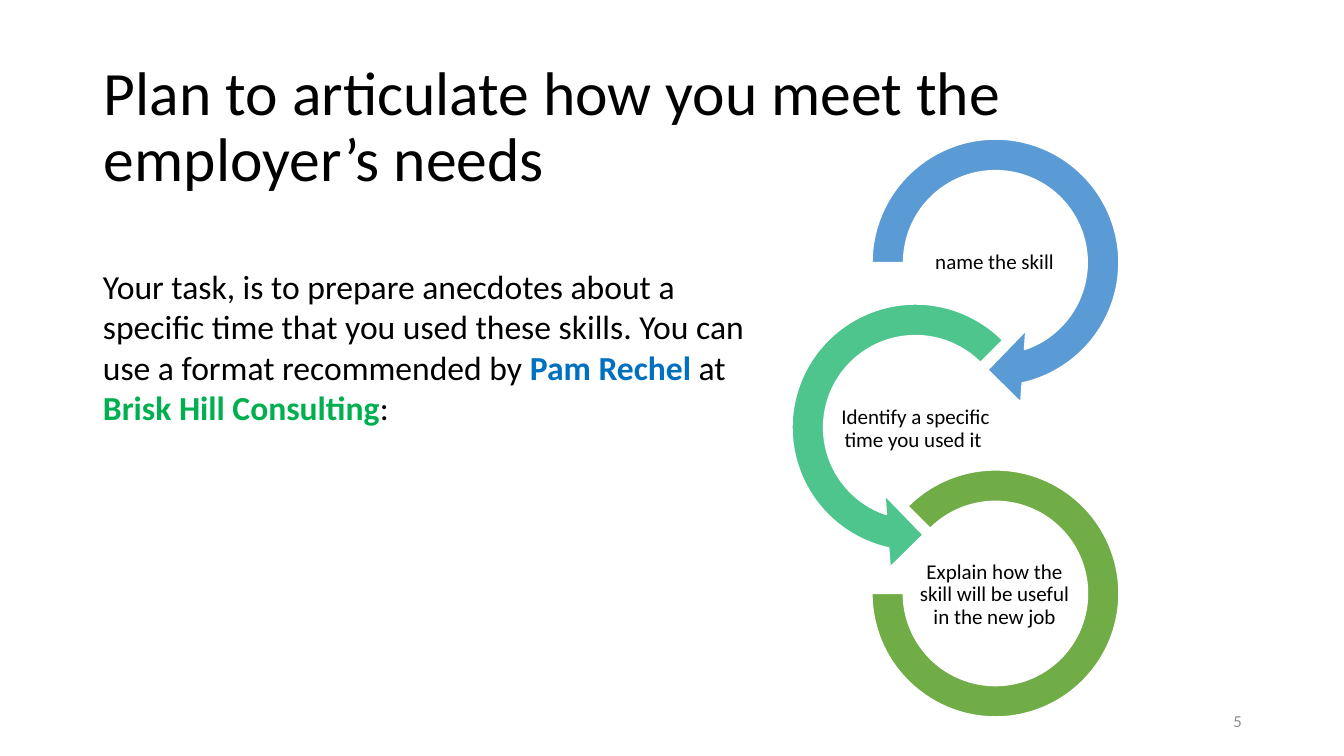
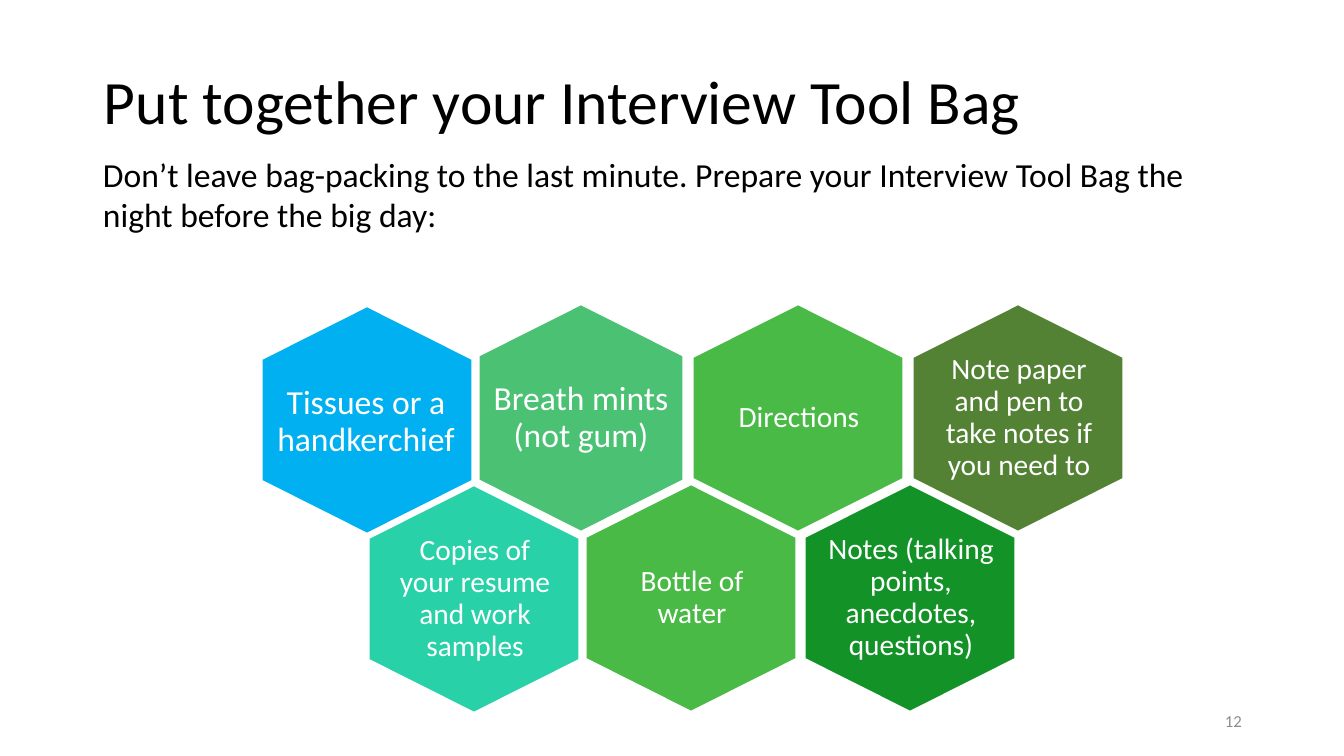
from dataclasses import dataclass
from typing import NamedTuple

from pptx import Presentation
from pptx.dml.color import RGBColor
from pptx.enum.shapes import MSO_SHAPE as Kind
from pptx.enum.text import MSO_ANCHOR as Anchor, PP_ALIGN as Align
from pptx.slide import Slide
from pptx.util import Emu, Pt


# Theme and scale
@dataclass(frozen=True)
class Theme:
    font: str = "Calibri"
    ink: str = "000000"
    paper: str = "FFFFFF"
    muted: str = "8C8C8C"
    person: str = "0070C0"
    firm: str = "00B050"
    blue: str = "5B9BD5"
    mint: str = "4DC58D"
    olive: str = "70AD47"
    sky: str = "00B0F0"
    aqua: str = "29D1A9"
    jade: str = "4BC174"
    leaf: str = "4ABA46"
    pine: str = "129227"
    moss: str = "548235"
    title: int = 44
    body: int = 24
    cell: int = 21
    step: int = 15
    foot: int = 12


T = Theme()
SCALE = 914400 / 100.8


def px(n: float) -> Emu:
    return Emu(round(n * SCALE))


# Records
class Box(NamedTuple):
    x: float
    y: float
    w: float
    h: float


class Run(NamedTuple):
    text: str
    color: str = T.ink
    bold: bool = False


class Style(NamedTuple):
    size: int
    align: Align = Align.LEFT
    anchor: Anchor = Anchor.TOP
    inset: tuple[int, int] = (10, 5)
    lead: float = 1.0


class Arc(NamedTuple):
    kind: Kind
    box: Box
    adjust: tuple[float, ...]
    fill: str
    text: str
    label: tuple[int, int]


class Hex(NamedTuple):
    x: int
    y: int
    fill: str
    text: str
    size: int = T.cell
    tall: int = 211
    wide: int = 188
    inset: int = 9
    dx: int = 1
    dy: int = 0


TITLE = Style(T.title, anchor=Anchor.BOTTOM, inset=(11, 11), lead=0.9)
BODY = Style(T.body)
FOOT = Style(T.foot, Align.RIGHT, Anchor.MIDDLE)


def label(size: int, inset: int) -> Style:
    return Style(size, Align.CENTER, Anchor.MIDDLE, (inset, inset), 0.9)


# Drawing
def write(page: Slide, box: Box, runs: list[Run], style: Style) -> None:
    frame = page.shapes.add_textbox(*map(px, box)).text_frame
    frame.word_wrap = True
    frame.vertical_anchor = style.anchor
    side, end = map(px, style.inset)
    frame.margin_left = frame.margin_right = side
    frame.margin_top = frame.margin_bottom = end
    para = frame.paragraphs[0]
    para.alignment = style.align
    para.line_spacing = style.lead
    for item in runs:
        run = para.add_run()
        run.text = item.text
        font = run.font
        font.name, font.size, font.bold = T.font, Pt(style.size), item.bold
        font.color.rgb = RGBColor.from_string(item.color)


def draw(page: Slide, kind: Kind, box: Box, fill: str,
         adjust: tuple[float, ...], turn: int = 0) -> None:
    shape = page.shapes.add_shape(kind, *map(px, box))
    shape.shadow.inherit = False
    shape.rotation = turn
    for i, value in enumerate(adjust):
        shape.adjustments[i] = value
    shape.fill.solid()
    shape.fill.fore_color.rgb = RGBColor.from_string(fill)
    shape.line.color.rgb = RGBColor.from_string(T.paper)
    shape.line.width = Pt(1)


def draw_arc(page: Slide, arc: Arc) -> None:
    draw(page, arc.kind, arc.box, arc.fill, arc.adjust)
    write(page, Box(*arc.label, 159, 80), [Run(arc.text)], label(T.step, 1))


def draw_hex(page: Slide, cell: Hex) -> None:
    long = 227
    box = Box(cell.x - long / 2, cell.y - cell.tall / 2, long, cell.tall)
    draw(page, Kind.HEXAGON, box, cell.fill, (0.25, 1.15), 90)
    high = 156
    area = Box(cell.x + cell.dx - cell.wide / 2,
               cell.y + cell.dy - high / 2, cell.wide, high)
    write(page, area, [Run(cell.text, T.paper)], label(cell.size, cell.inset))


deck = Presentation()
deck.slide_width, deck.slide_height = px(1344), px(756)


def start(number: int, title: str, high: int, body: Box,
          runs: list[Run]) -> Slide:
    page = deck.slides.add_slide(deck.slide_layouts[6])
    write(page, Box(950, 701, 302, 40), [Run(str(number), T.muted)], FOOT)
    write(page, Box(93, 30, 1159, high), [Run(title)], TITLE)
    write(page, body, runs, BODY)
    return page


# Slide: three steps of an anecdote
ARCS = [
    Arc(Kind.CIRCULAR_ARROW, Box(852, 119, 287, 287),
        (0.11, 11.42, 45, 108, 0.125), T.blue, "name the skill", (915, 223)),
    Arc(Kind.LEFT_CIRCULAR_ARROW, Box(772, 284, 287, 287),
        (0.11, 11.42, 63, 189, 0.125), T.mint,
        "Identify a specific time you used it ", (836, 389)),
    Arc(Kind.BLOCK_ARC, Box(872, 470, 247, 247), (135, 108, 0.127), T.olive,
        "Explain how the skill will be useful in the new job", (915, 555)),
]
plan = start(5, "Plan to articulate how you meet the employer’s needs", 176,
             Box(93, 261, 681, 173), [
                 Run("Your task, is to prepare anecdotes about a specific "
                     "time that you used these skills. You can use a format "
                     "recommended by "),
                 Run("Pam Rechel ", T.person, True),
                 Run("at "),
                 Run("Brisk Hill Consulting", T.firm, True),
                 Run(":"),
             ])
for arc in ARCS:
    draw_arc(plan, arc)

# Slide: honeycomb of things to pack
TOP, LOW = 418, 598
CELLS = [
    Hex(367, TOP + 2, T.sky, "Tissues or a handkerchief", T.body,
        wide=202, inset=7, dx=-1, dy=2),
    Hex(474, LOW + 1, T.aqua, "Copies of your resume and work samples"),
    Hex(581, TOP, T.jade, "Breath mints (not gum)", T.body,
        tall=205, wide=193, inset=0, dx=0),
    Hex(691, LOW, T.leaf, "Bottle of water"),
    Hex(798, TOP, T.leaf, "Directions"),
    Hex(910, LOW, T.pine, "Notes (talking points, anecdotes, questions)"),
    Hex(1018, TOP, T.moss, "Note paper and pen to take notes if you need to"),
]
bag = start(12, "Put together your Interview Tool Bag", 119,
            Box(93, 149, 1119, 92), [
                Run("Don’t leave bag-packing to the last minute. Prepare your "
                    "Interview Tool Bag the night before the big day:"),
            ])
for cell in CELLS:
    draw_hex(bag, cell)

deck.save("out.pptx")
